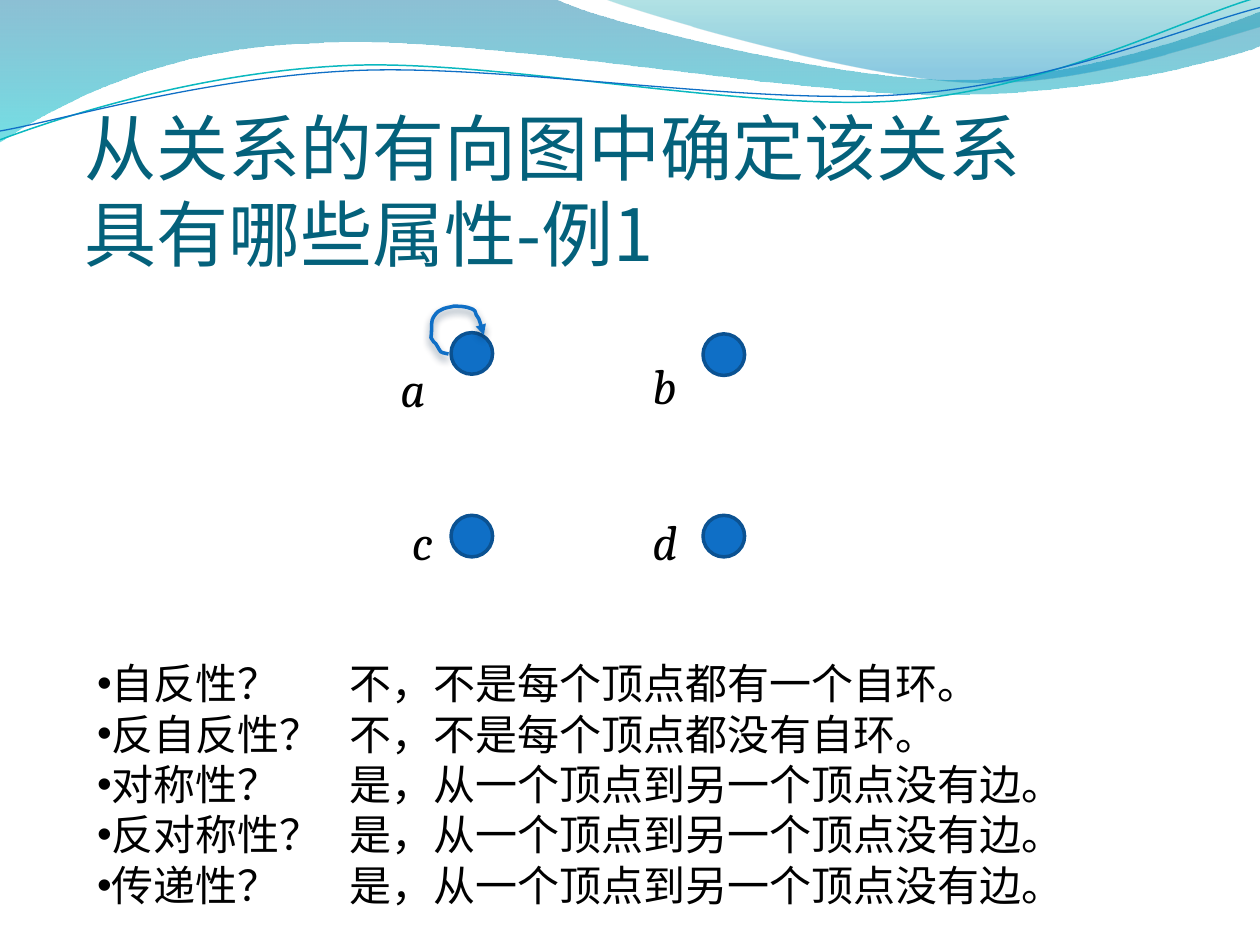
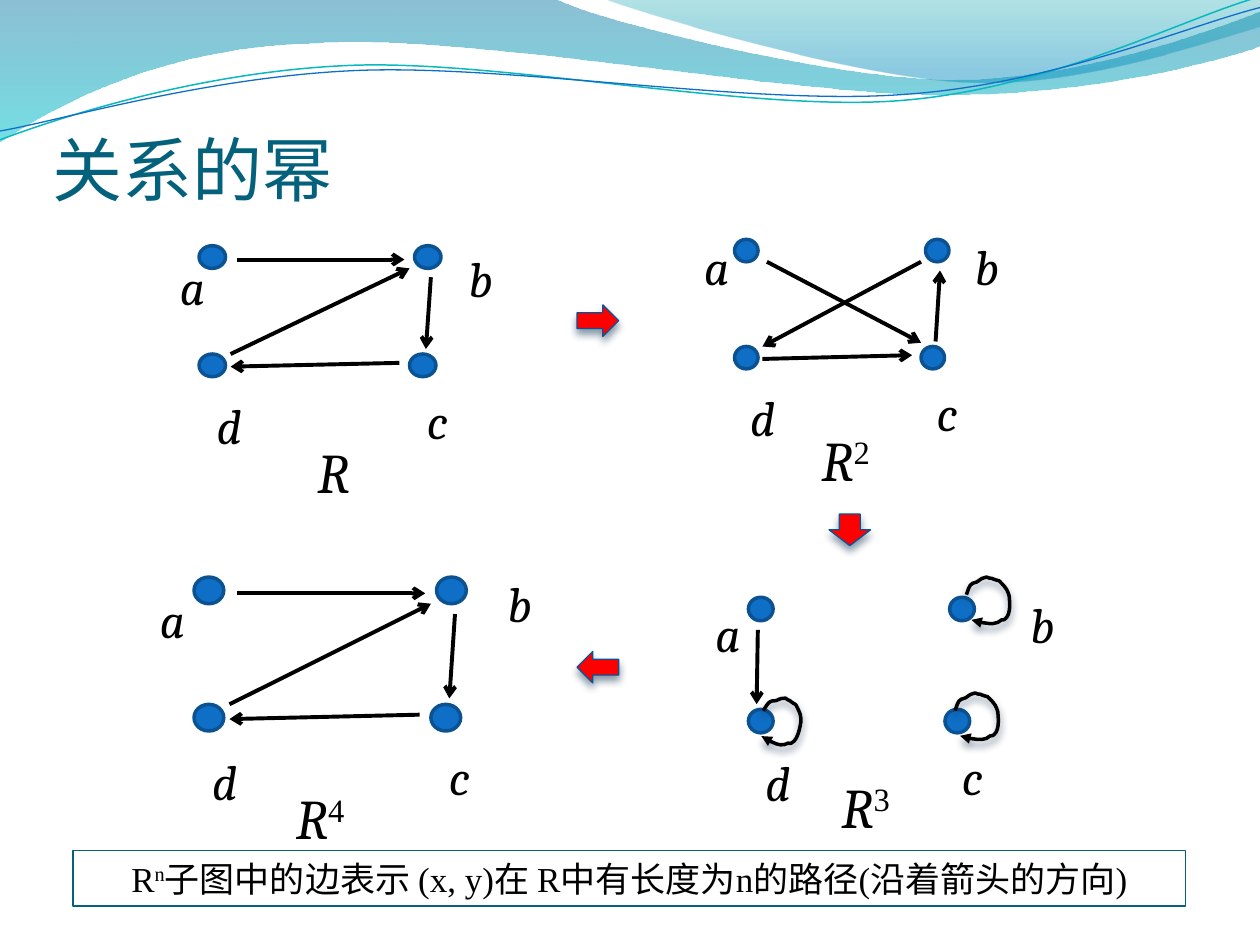
import lxml.etree
import pptx
import pptx.dml.color
import pptx.enum.shapes
import pptx.enum.text
import pptx.oxml.ns
import pptx.util

RGBColor = pptx.dml.color.RGBColor
Shape = pptx.enum.shapes.MSO_SHAPE
Align = pptx.enum.text.PP_ALIGN
Anchor = pptx.enum.text.MSO_ANCHOR
AutoSize = pptx.enum.text.MSO_AUTO_SIZE
qn = pptx.oxml.ns.qn

BLACK = RGBColor(0x00, 0x00, 0x00)
RED = RGBColor(0xFF, 0x00, 0x00)
TITLE_TEAL = RGBColor(0x04, 0x61, 0x7B)
NODE_BLUE = RGBColor(0x0F, 0x6F, 0xC6)
NODE_EDGE = RGBColor(0x0B, 0x52, 0x92)
ARROW_EDGE = RGBColor(0x09, 0x52, 0x95)
WAVE_CYAN = RGBColor(0x0A, 0xB8, 0xBF)
SHADOW_NAVY = RGBColor(0x04, 0x27, 0x47)

CJK_FONT = "Noto Sans CJK SC"
LATIN_FONT = "Times New Roman"
MATH_FONT = "Cambria"

# Positions below are in grid units; the slide is 10 by 7.5 units.
GRID_CM = 2.54

# An outline is a start point, then one point per line or three per curve.
WAVE_BANDS = [
    {"start": (0, 0),
     "steps": [((4.4, -0.01),),
               ((4.76, 0.17), (6.64, 0.63), (7.58, 0.63)),
               ((8.53, 0.63), (9.58, 0.26), (10, 0.09)),
               ((10.01, 0.36),),
               ((9.83, 0.44), (8.7, 0.76), (7.46, 0.75)),
               ((6.22, 0.75), (3.82, 0.28), (2.57, 0.34)),
               ((1.29, 0.36), (0.46, 0.83), (-0.01, 1.13)),
               ((0, 0),)],
     "stops": [(0, RGBColor(0x00, 0x74, 0xA1), 45),
               (1, RGBColor(0x00, 0xC6, 0xCF), 55)]},
    {"start": (4.79, -0.01),
     "steps": [((5.09, 0.11), (6.82, 0.62), (7.69, 0.65)),
               ((8.56, 0.69), (9.61, 0.32), (10, 0.21)),
               ((10, 0),),
               ((4.79, -0.01),)],
     "stops": [(0, RGBColor(0x00, 0xA1, 0xA9), 30),
               (0.8, RGBColor(0x00, 0x8B, 0xBF), 45)]},
]
WAVE_LINES = [
    {"start": (0, 1.11), "color": WAVE_CYAN, "width": 0.85,
     "steps": [((0.48, 0.93), (1.58, 0.57), (2.77, 0.52)),
               ((3.95, 0.47), (5.93, 0.89), (7.13, 0.8)),
               ((8.33, 0.71), (9.38, 0.15), (9.98, -0.02))]},
    {"start": (0, 1.04), "color": NODE_BLUE, "width": 0.75,
     "steps": [((0.47, 0.96), (1.64, 0.61), (2.83, 0.56)),
               ((4.03, 0.51), (5.97, 0.84), (7.17, 0.75)),
               ((8.36, 0.67), (9.41, 0.21), (10, 0.06))]},
]

PROPERTY_TITLE = "从关系的有向图中确定该关系\n具有哪些属性-例1"
PROPERTY_ANSWERS = [
    ("自反性？", "不，不是每个顶点都有一个自环。"),
    ("反自反性？", "不，不是每个顶点都没有自环。"),
    ("对称性？", "是，从一个顶点到另一个顶点没有边。"),
    ("反对称性？", "是，从一个顶点到另一个顶点没有边。"),
    ("传递性？", "是，从一个顶点到另一个顶点没有边。"),
]
# vertex name: (circle corner, label corner)
PROPERTY_VERTICES = {
    "a": ((3.58, 2.64), (3.08, 2.8)),
    "b": ((5.58, 2.65), (5.08, 2.77)),
    "c": ((3.58, 4.09), (3.17, 4.01)),
    "d": ((5.58, 4.09), (5.08, 4.01)),
}
PROPERTY_LOOP_START = (3.56, 2.81)
PROPERTY_LOOP = [
    ((3.48, 2.79), (3.51, 2.81), (3.46, 2.73)),
    ((3.44, 2.71),),
    ((3.42, 2.68),),
    ((3.43, 2.63), (3.42, 2.58), (3.43, 2.54)),
    ((3.44, 2.51), (3.47, 2.47), (3.5, 2.46)),
    ((3.53, 2.44), (3.57, 2.44), (3.6, 2.43)),
    ((3.63, 2.43), (3.7, 2.43), (3.74, 2.45)),
    ((3.75, 2.45), (3.76, 2.46), (3.77, 2.47)),
    ((3.77, 2.48), (3.78, 2.49), (3.78, 2.5)),
    ((3.79, 2.51), (3.79, 2.52), (3.8, 2.53)),
    ((3.81, 2.55), (3.81, 2.57), (3.82, 2.59)),
    ((3.83, 2.62),),
    ((3.84, 2.65), (3.84, 2.64), (3.84, 2.66)),
]

POWER_TITLE = "关系的幂"
POWER_NOTE = [("R", False), ("n", True),
              ("子图中的边表示 (x, y)在 R中有长度为n的路径(沿着箭头的方向)", False)]
# One pattern, measured from vertex a, is scaled for every power of R.
PATTERN_NODE = (0.21, 0.18)
PATTERN_LABEL = (0.21, 0.24)
PATTERN_VERTICES = {"a": (0, 0), "d": (0, 0.86), "c": (1.67, 0.86), "b": (1.71, 0)}
PATTERN_LABELS = {"c": (1.71, 1.1), "d": (0.04, 1.14)}
PATTERN_EDGES = {
    "ab": ((0.3, 0.11), (1.63, 0.11)),
    "db": ((0.25, 0.86), (1.67, 0.18)),
    "bc": ((1.84, 0.25), (1.8, 0.82)),
    "cd": ((1.59, 0.93), (0.25, 0.96)),
    "ac": ((0.29, 0.18), (1.67, 0.83)),
    "ad": ((0.08, 0.25), (0.07, 0.82)),
}
# span is the distance from vertex a to vertex c
POWER_GRAPHS = [
    {"exponent": "", "origin": (1.58, 1.95), "span": (1.67, 0.86),
     "labels": {"a": (1.33, 1.99), "b": (3.62, 1.92)},
     "name_at": (2.42, 3.42), "name_width": 0.21, "edges": ["ab", "db", "bc", "cd"]},
    {"exponent": "2", "origin": (5.83, 1.9), "span": (1.48, 0.85),
     "labels": {"a": (5.5, 1.83), "b": (7.65, 1.83)},
     "name_at": (6.42, 3.33), "name_width": 0.72, "edges": ["bd", "cb", "dc", "ac"]},
    {"exponent": "3", "origin": (5.94, 4.74), "span": (1.56, 0.89),
     "labels": {"a": (5.58, 4.74), "b": (8.08, 4.67)},
     "name_at": (6.58, 6.08), "name_width": 0.82, "edges": ["ad"]},
    {"exponent": "4", "origin": (1.54, 4.58), "span": (1.88, 1.01),
     "labels": {"a": (1.17, 4.63), "b": (3.93, 4.5)},
     "name_at": (2.25, 6.17), "name_width": 1.12, "edges": ["ab", "db", "bc", "cd"]},
]
# left, top, width, rotation
SELF_LOOPS = [(7.67, 4.58, 0.36, 0), (7.58, 5.5, 0.36, 0), (6.04, 5.54, 0.33, 14.7)]
SELF_LOOP_START = (0, 0.14)
SELF_LOOP = [
    ((0.01, 0.12), (0.02, 0.06), (0.05, 0.05)),
    ((0.06, 0.05), (0.07, 0.05), (0.08, 0.04)),
    ((0.09, 0.04), (0.09, 0.03), (0.11, 0.02)),
    ((0.12, 0.01), (0.16, 0), (0.16, 0)),
    ((0.18, 0.01), (0.19, 0.01), (0.2, 0.01)),
    ((0.22, 0.02), (0.26, 0.03), (0.26, 0.03)),
    ((0.29, 0.06), (0.32, 0.09), (0.33, 0.12)),
    ((0.34, 0.15),),
    ((0.34, 0.17), (0.36, 0.29), (0.31, 0.33)),
    ((0.31, 0.34), (0.29, 0.34), (0.28, 0.34)),
    ((0.27, 0.35), (0.26, 0.35), (0.25, 0.36)),
    ((0.2, 0.38), (0.15, 0.36), (0.1, 0.36)),
    ((0.04, 0.34),),
]
STEP_ARROWS = [
    (Shape.RIGHT_ARROW, (4.58, 2.42), 0),
    (Shape.DOWN_ARROW, (6.58, 4.08), 0),
    (Shape.RIGHT_ARROW, (4.58, 5.17), 180),
]


def grid(*units):
    """Turn grid units into lengths."""
    return [pptx.util.Cm(unit * GRID_CM) for unit in units]


def write_text(paragraph, text, size, font=LATIN_FONT, color=BLACK,
               italic=False, superscript=False):
    for index, line in enumerate(text.split("\n")):
        if index:
            paragraph.add_line_break()
        run = paragraph.add_run()
        run.text = line
        run.font.size = pptx.util.Pt(size)
        run.font.name = font
        run.font.italic = italic
        run.font.color.rgb = color
        properties = run._r.get_or_add_rPr()
        lxml.etree.SubElement(properties, qn("a:ea"), typeface=CJK_FONT)
        if superscript:
            properties.set("baseline", "30000")


def style_line(line, color, width, arrowhead=None):
    line.color.rgb = color
    line.width = pptx.util.Pt(width)
    if arrowhead:
        lxml.etree.SubElement(line._get_or_add_ln(), qn("a:tailEnd"), type=arrowhead)


def add_shadow(shape):
    shadow = lxml.etree.SubElement(
        shape.element.spPr.find(qn("a:effectLst")), qn("a:outerShdw"),
        blurRad=str(pptx.util.Pt(4.5)), dist=str(pptx.util.Pt(3)), dir="5400000",
        rotWithShape="0")
    color = lxml.etree.SubElement(shadow, qn("a:srgbClr"), val=str(SHADOW_NAVY))
    lxml.etree.SubElement(color, qn("a:alpha"), val="48000")


def add_outline(slide, start, steps, close=False):
    """Draw an outline; each step of three points becomes one Bézier curve."""
    builder = slide.shapes.build_freeform(*grid(*start), scale=1.0)
    builder.add_line_segments([grid(*point) for step in steps for point in step],
                              close=close)
    shape = builder.convert_to_shape()
    shape.shadow.inherit = False
    shape.fill.background()
    segments = iter(list(shape.element.iter(qn("a:lnTo"))))
    for step in steps:
        first, *others = [next(segments) for _ in step]
        if others:
            first.tag = qn("a:cubicBezTo")
            for segment in others:
                first.append(segment[0])
                segment.getparent().remove(segment)
    return shape


def add_master_waves(presentation, slide):
    """Draw the waves on a slide, then move them behind everything on the master."""
    waves = []
    for band in WAVE_BANDS:
        shape = add_outline(slide, band["start"], band["steps"], close=True)
        shape.line.fill.background()
        shape.fill.gradient()
        shape.fill.gradient_angle = 270
        for stop, (position, color, _) in zip(shape.fill.gradient_stops, band["stops"]):
            stop.position = position
            stop.color.rgb = color
        colors = shape.element.spPr.iter(qn("a:srgbClr"))
        for element, (_, _, opacity) in zip(colors, band["stops"]):
            lxml.etree.SubElement(element, qn("a:alpha"), val=str(opacity * 1000))
        waves.append(shape)
    for wave in WAVE_LINES:
        shape = add_outline(slide, wave["start"], wave["steps"])
        style_line(shape.line, wave["color"], wave["width"])
        waves.append(shape)
    for index, shape in enumerate(waves):
        presentation.slide_master.shapes.element.insert(2 + index, shape.element)


def place_placeholder(placeholder, left, top, width, height):
    placeholder.left, placeholder.top, placeholder.width, placeholder.height = grid(
        left, top, width, height)
    placeholder.text_frame.auto_size = AutoSize.NONE
    placeholder.text_frame.word_wrap = True
    return placeholder.text_frame


def set_spacing(paragraph, size):
    paragraph.alignment = Align.LEFT
    paragraph.space_before = pptx.util.Pt(0)
    paragraph.line_spacing = pptx.util.Pt(round(1.2 * size, 1))


def write_title(slide, text, left, top, size):
    frame = place_placeholder(slide.shapes.title, left, top, 9, 1.25)
    frame.vertical_anchor = Anchor.BOTTOM
    frame.margin_left = frame.margin_right = frame.margin_bottom = 0
    set_spacing(frame.paragraphs[0], size)
    write_text(frame.paragraphs[0], text, size, font=CJK_FONT, color=TITLE_TEAL)


def add_node(slide, position, size):
    node = slide.shapes.add_shape(Shape.OVAL, *grid(*position, *size))
    node.shadow.inherit = False
    node.fill.solid()
    node.fill.fore_color.rgb = NODE_BLUE
    style_line(node.line, NODE_EDGE, 2)


def add_label(slide, text, position, size, points=28, exponent=""):
    frame = slide.shapes.add_textbox(*grid(*position, *size)).text_frame
    frame.word_wrap = True
    frame.auto_size = AutoSize.SHAPE_TO_FIT_TEXT
    write_text(frame.paragraphs[0], text, points, font=MATH_FONT, italic=True)
    if exponent:
        write_text(frame.paragraphs[0], exponent, points, superscript=True)


def add_edge(slide, start, end):
    edge = slide.shapes.add_connector(
        pptx.enum.shapes.MSO_CONNECTOR.STRAIGHT, *grid(*start, *end))
    style_line(edge.line, BLACK, 2.25, "arrow")
    lxml.etree.SubElement(edge.element.spPr, qn("a:effectLst"))


def add_power_graph(slide, graph):
    def resize(size):
        return tuple(value * span / base for value, span, base
                     in zip(size, graph["span"], PATTERN_VERTICES["c"]))

    def place(point):
        return tuple(map(sum, zip(graph["origin"], resize(point))))

    labels = {name: place(point) for name, point in PATTERN_LABELS.items()}
    labels.update(graph["labels"])
    for point in PATTERN_VERTICES.values():
        add_node(slide, place(point), resize(PATTERN_NODE))
    for name in sorted(labels):
        add_label(slide, name, labels[name], resize(PATTERN_LABEL))
    for edge in graph["edges"]:
        ends = PATTERN_EDGES.get(edge) or PATTERN_EDGES[edge[::-1]][::-1]
        add_edge(slide, *map(place, ends))
    add_label(slide, "R", graph["name_at"], (graph["name_width"], 0.64),
              points=32, exponent=graph["exponent"])


def fill_property_slide(slide):
    write_title(slide, PROPERTY_TITLE, 0.67, 0.94, 41.2)
    frame = place_placeholder(slide.placeholders[1], 0.67, 5.17, 8.75, 2.12)
    for index, answer in enumerate(PROPERTY_ANSWERS):
        paragraph = frame.add_paragraph() if index else frame.paragraphs[0]
        set_spacing(paragraph, 24)
        properties = paragraph._p.get_or_add_pPr()
        properties.set("marL", "0")
        properties.set("indent", "0")
        lxml.etree.SubElement(properties, qn("a:buChar"), char="•")
        tabs = lxml.etree.SubElement(properties, qn("a:tabLst"))
        lxml.etree.SubElement(tabs, qn("a:tab"), pos=str(grid(2)[0]), algn="l")
        write_text(paragraph, "\t".join(answer), 24)
    for name, (node_at, label_at) in PROPERTY_VERTICES.items():
        add_node(slide, node_at, (0.33, 0.33))
        add_label(slide, name, label_at, (0.42, 0.57))
    loop = add_outline(slide, PROPERTY_LOOP_START, PROPERTY_LOOP)
    style_line(loop.line, NODE_BLUE, 2, "triangle")
    add_shadow(loop)


def fill_power_slide(slide):
    write_title(slide, POWER_TITLE, 0.42, 0.42, 40)
    for graph in POWER_GRAPHS:
        add_power_graph(slide, graph)
    for kind, position, rotation in STEP_ARROWS:
        arrow = slide.shapes.add_shape(kind, *grid(*position, 0.33, 0.25))
        arrow.shadow.inherit = False
        arrow.rotation = rotation
        arrow.fill.solid()
        arrow.fill.fore_color.rgb = RED
        style_line(arrow.line, ARROW_EDGE, 0.75)
        add_shadow(arrow)
    note = slide.shapes.add_shape(Shape.RECTANGLE, *grid(0.58, 6.75, 8.83, 0.44))
    note.shadow.inherit = False
    note.fill.background()
    style_line(note.line, TITLE_TEAL, 0.75)
    note.text_frame.word_wrap = False
    note.text_frame.vertical_anchor = Anchor.MIDDLE
    paragraph = note.text_frame.paragraphs[0]
    paragraph.alignment = Align.CENTER
    for text, raised in POWER_NOTE:
        write_text(paragraph, text, 20, superscript=raised)
    for left, top, width, rotation in SELF_LOOPS:
        loop = add_outline(slide, SELF_LOOP_START, SELF_LOOP)
        loop.left, loop.top, loop.width = grid(left, top, width)
        loop.rotation = rotation
        style_line(loop.line, BLACK, 2, "triangle")
        add_shadow(loop)


def main():
    presentation = pptx.Presentation()
    presentation.slide_width, presentation.slide_height = grid(10, 7.5)
    layouts = presentation.slide_layouts
    property_slide = presentation.slides.add_slide(layouts.get_by_name("Title and Content"))
    power_slide = presentation.slides.add_slide(layouts.get_by_name("Title Only"))
    add_master_waves(presentation, property_slide)
    fill_property_slide(property_slide)
    fill_power_slide(power_slide)
    presentation.save("out.pptx")


if __name__ == "__main__":
    main()
